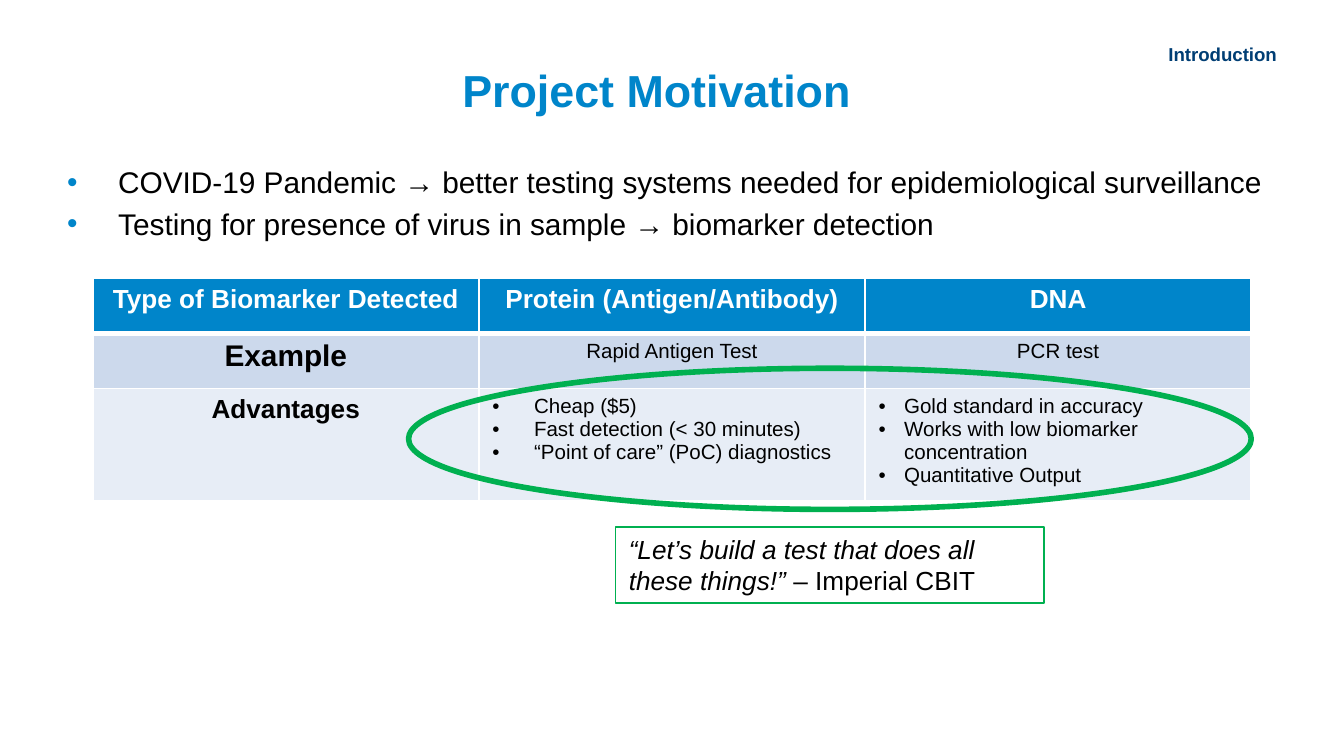
"""Build the Project Motivation slide with its biomarker comparison table."""
from pptx import Presentation
from pptx.dml.color import RGBColor
from pptx.enum.shapes import MSO_SHAPE as SHAPE
from pptx.enum.text import MSO_ANCHOR as ANCHOR, PP_ALIGN as ALIGN
from pptx.oxml.ns import qn
from pptx.util import Inches, Pt
from lxml import etree

BLUE = RGBColor(0x00, 0x85, 0xCA)
NAVY = RGBColor(0x00, 0x3E, 0x74)
GREEN = RGBColor(0x00, 0xB0, 0x50)
BLACK = RGBColor(0x00, 0x00, 0x00)
WHITE = RGBColor(0xFF, 0xFF, 0xFF)
BAND_DARK = RGBColor(0xCC, 0xD9, 0xEC)
BAND_LIGHT = RGBColor(0xE7, 0xED, 0xF6)


def add_run(p, text, size, color=BLACK, bold=False, italic=False):
    r = p.add_run()
    r.text = text
    r.font.color.rgb = color
    fmt = {"name": "Arial", "size": Pt(size), "bold": bold, "italic": italic}
    for key, value in fmt.items():
        setattr(r.font, key, value)


def add_bullets(tf, lines, size, indent, color=BLACK, gap=0):
    for i, line in enumerate(lines):
        p = tf.add_paragraph() if i else tf.paragraphs[0]
        p.space_before = Pt(gap if i else 0)
        pPr = p._p.get_or_add_pPr()
        pPr.set("marL", str(Inches(indent)))
        pPr.set("indent", str(-Inches(indent)))
        clr = etree.SubElement(pPr, qn("a:buClr"))
        etree.SubElement(clr, qn("a:srgbClr"), val=str(color))
        etree.SubElement(pPr, qn("a:buFont"), typeface="Arial")
        etree.SubElement(pPr, qn("a:buChar"), char="•")
        add_run(p, line, size)


prs = Presentation()
prs.slide_width = Inches(10)
prs.slide_height = prs.slide_width * 9 // 16
s = prs.slides.add_slide(prs.slide_layouts[6])

frames = []
for box, top_inset, anchor in [
    ((3.44, 0.43, 3.13, 0.42), 0.05, ANCHOR.MIDDLE),
    ((0.5, 1.22, 9, 0.74), 0, ANCHOR.TOP),
    ((8.47, 0.32, 1.03, 0.21), 0, ANCHOR.TOP),
]:
    tf = s.shapes.add_textbox(*map(Inches, box)).text_frame
    fmt = {"word_wrap": True, "vertical_anchor": anchor, "margin_left": 0,
           "margin_top": Inches(top_inset), "margin_right": 0, "margin_bottom": 0}
    for key, value in fmt.items():
        setattr(tf, key, value)
    frames.append(tf)

title, body, section = frames
add_run(title.paragraphs[0], "Project Motivation", 24, BLUE, bold=True)
add_bullets(body, [
    "COVID-19 Pandemic → better testing systems needed for epidemiological surveillance",
    "Testing for presence of virus in sample → biomarker detection",
], 16, 0.38, BLUE, gap=3.2)
section.paragraphs[0].alignment = ALIGN.RIGHT
add_run(section.paragraphs[0], "Introduction", 10, NAVY, bold=True)

table = s.shapes.add_table(3, 3, Inches(0.69), Inches(2.07), Inches(8.62), Inches(1.01)).table
for row, height in zip(table.rows, (0.41, 0.41, 0.19)):
    row.height = Inches(height)

rows = [
    (BLUE, WHITE, (14, 14, 14),
     ("Type of Biomarker Detected", "Protein (Antigen/Antibody)", "DNA")),
    (BAND_DARK, BLACK, (16, 11, 11), ("Example", "Rapid Antigen Test", "PCR test")),
    (BAND_LIGHT, BLACK, (14, 11, 11), (
        "Advantages",
        ["Cheap ($5)", "Fast detection (< 30 minutes)", "“Point of care” (PoC) diagnostics"],
        ["Gold standard in accuracy", "Works with low biomarker concentration",
         "Quantitative Output"],
    )),
]
for i, (fill, color, sizes, texts) in enumerate(rows):
    for j, (size, text) in enumerate(zip(sizes, texts)):
        cell = table.cell(i, j)
        tcPr = cell._tc.get_or_add_tcPr()
        for side in "LRTB":
            width = 3 if (i, side) in [(0, "B"), (1, "T")] else 1
            ln = etree.SubElement(tcPr, qn(f"a:ln{side}"), w=str(Pt(width)))
            line_fill = etree.SubElement(ln, qn("a:solidFill"))
            etree.SubElement(line_fill, qn("a:srgbClr"), val=str(WHITE))
        cell.fill.solid()
        cell.fill.fore_color.rgb = fill
        if isinstance(text, list):
            add_bullets(cell.text_frame, text, size, 0.31 if j == 1 else 0.19)
        else:
            p = cell.text_frame.paragraphs[0]
            p.alignment = ALIGN.CENTER
            add_run(p, text, size, color, bold=i == 0 or j == 0)

for kind, box, width in [
    (SHAPE.OVAL, (3.04, 2.74, 6.27, 1.05), 3),
    (SHAPE.RECTANGLE, (4.58, 3.92, 3.19, 0.57), 1),
]:
    sp = s.shapes.add_shape(kind, *map(Inches, box))
    sp.shadow.inherit = False
    sp.fill.background()
    sp.line.color.rgb = GREEN
    sp.line.width = Pt(width)

tf = sp.text_frame
tf.word_wrap = True
tf.vertical_anchor = ANCHOR.TOP
p = tf.paragraphs[0]
p.alignment = ALIGN.LEFT
add_run(p, "“Let’s build a test that does all these things!” ", 14, italic=True)
add_run(p, "– Imperial CBIT", 14)

prs.save("out.pptx")
